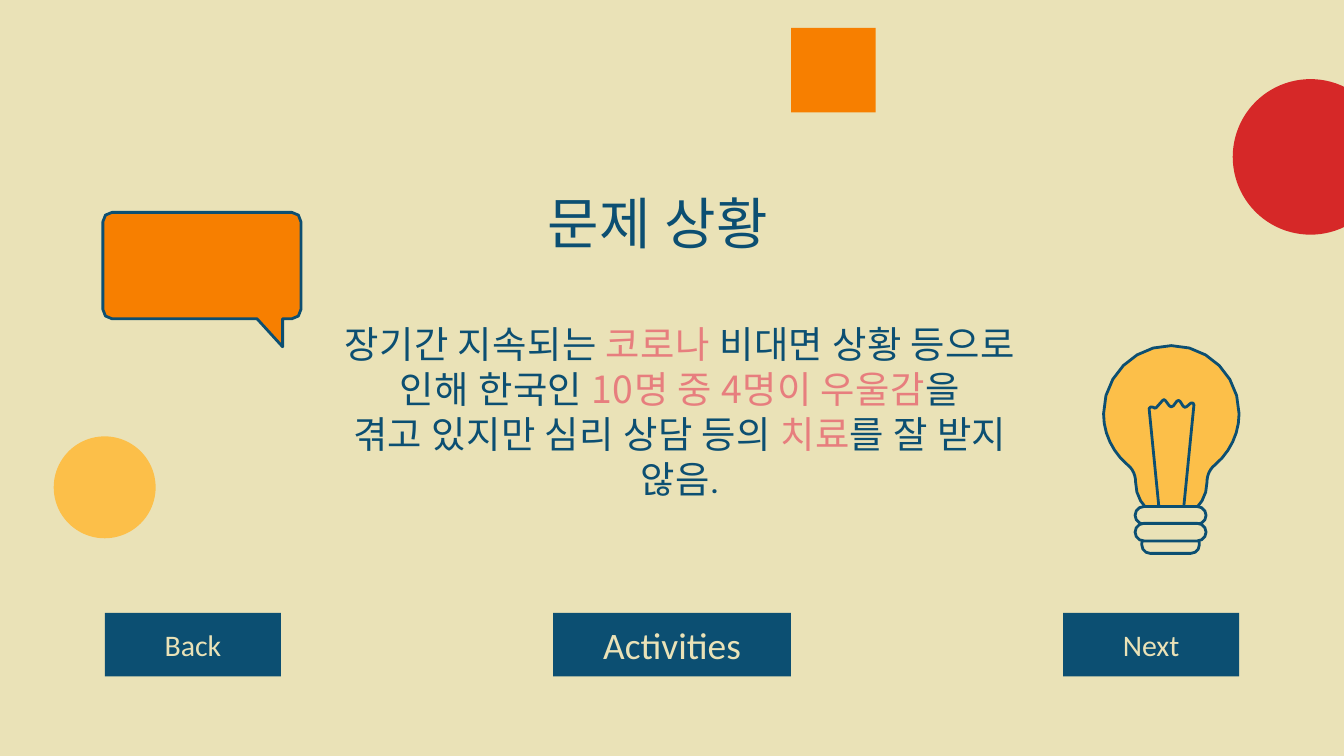
from lxml.etree import SubElement
from pptx import Presentation
from pptx.dml.color import RGBColor as Rgb
from pptx.enum.shapes import MSO_CONNECTOR as Connector, MSO_SHAPE as Preset
from pptx.enum.text import MSO_ANCHOR as Anchor, MSO_AUTO_SIZE as AutoSize, PP_ALIGN as Align
from pptx.oxml.ns import qn
from pptx.util import Pt

COLORS = {"sand": "EAE2B7", "navy": "0C4F72", "orange": "F77F00",
          "yellow": "FCBF49", "red": "D62828", "pink": "E77E7E"}
KOREAN = "Noto Sans CJK KR"
FRAME = {"word_wrap": True, "auto_size": AutoSize.NONE,
         "margin_left": Pt(7.2), "margin_right": Pt(7.2),
         "margin_top": Pt(7.2), "margin_bottom": Pt(7.2)}


def write(shape, lines, size, anchor=Anchor.MIDDLE, spacing=None, tracking=0):
    """Fill a shape with one centred paragraph; each line holds (text, colour, font) spans."""
    frame = shape.text_frame
    for name, value in {**FRAME, "vertical_anchor": anchor}.items():
        setattr(frame, name, value)
    para = frame.paragraphs[0]
    para.alignment = Align.CENTER
    para.line_spacing = spacing
    for number, spans in enumerate(lines):
        if number:
            para.add_line_break()
        for text, color, font in spans:
            span = para.add_run()
            span.text = text
            for name, value in {"size": Pt(size), "name": font, "bold": False}.items():
                setattr(span.font, name, value)
            span.font.color.rgb = Rgb.from_string(COLORS[color])
            SubElement(span.font._element, qn("a:ea"), typeface=font)
            if tracking:
                span.font._element.set("spc", str(tracking))


def flatten(start, steps, pieces=2):
    """Turn line steps (x, y) and cubic steps (6 numbers) into points."""
    points = [start]
    for step in steps:
        if len(step) == 2:
            points.append(step)
            continue
        x0, y0 = points[-1]
        x1, y1, x2, y2, x3, y3 = step
        for t in (i / pieces for i in range(1, pieces + 1)):
            a, b, c, d = (1 - t) ** 3, 3 * t * (1 - t) ** 2, 3 * t * t * (1 - t), t ** 3
            points.append((a * x0 + b * x1 + c * x2 + d * x3,
                           a * y0 + b * y1 + c * y2 + d * y3))
    return points


deck = Presentation()
deck.slide_width, deck.slide_height = Pt(720), Pt(405)
page = deck.slides.add_slide(deck.slide_layouts[5])
page.background.fill.solid()
page.background.fill.fore_color.rgb = Rgb.from_string(COLORS["sand"])

title = page.shapes.title
for name, value in {"left": 200.2, "top": 98.6, "width": 311.8, "height": 45.4}.items():
    setattr(title, name, Pt(value))
write(title, [[("문제 상황 ", "navy", KOREAN)]], 30, Anchor.BOTTOM, tracking=30)

body = page.shapes.add_textbox(Pt(176.4), Pt(162.7), Pt(375.8), Pt(115.2))
write(body, [[("장기간 지속되는 ", "navy", KOREAN),
              ("코로나", "pink", KOREAN),
              (" 비대면 상황 등으로 인해 한국인 ", "navy", KOREAN),
              ("10명 중 4명이 우울감", "pink", KOREAN),
              ("을", "navy", KOREAN)],
             [("겪고 있지만 심리 상담 등의 ", "navy", KOREAN),
              ("치료", "pink", KOREAN),
              ("를 잘 받지 않음", "navy", KOREAN),
              (".", "navy", "Roboto")]], 20, spacing=Pt(24), tracking=22)

# Speech bubble, bulb and filament
bubble = flatten((60, 113.8), [
    (156.4, 113.8), (159.2, 113.8, 161.2, 116, 161.2, 118.8),
    (161.2, 165.8), (161.2, 168.6, 159.2, 170.8, 156.4, 170.8),
    (151.4, 170.8), (151.4, 185.8), (137.7, 170.8),
    (60, 170.8), (57.2, 170.8, 55.1, 168.6, 55.1, 165.8),
    (55.1, 118.8), (55.1, 116, 57.2, 113.8, 60, 113.8)])
axis = 627.5
left_half = flatten((axis, 185.2), [
    (607.4, 185.2, 591.2, 201.5, 591.2, 221.7),
    (591.2, 232.1, 595.9, 242.2, 604.1, 249.1),
    (607, 251.3, 608.4, 254.9, 608.4, 258.5),
    (608.4, 269.3, 617, 277.9, axis, 277.9)], pieces=6)
bulb = left_half + [(2 * axis - x, y) for x, y in reversed(left_half[1:-1])]
filament = flatten((621.4, 277.2), [
    (615.6, 218.9), (615.6, 218.2, 617, 217.4, 617.8, 218.2),
    (618.5, 218.9, 619.2, 218.9, 619.6, 218.2),
    (622.8, 214.6), (623.2, 213.9, 623.9, 213.9, 624.3, 214.6),
    (626.4, 217.4), (627.1, 218.2, 627.9, 218.2, 628.6, 217.4),
    (630.4, 215), (631, 214.4, 631.8, 214.4, 632.2, 215),
    (633.8, 217.6), (634.3, 218.4, 635.2, 218.4, 635.8, 217.8),
    (637.9, 216), (638.6, 215.4, 639.8, 216, 639.6, 216.9),
    (633.6, 277.2)])

# Outlined parts are drawn from back to front
outlined = []
for points, fill, closed in [(bubble, "orange", True), (bulb, "yellow", True),
                             (filament, None, False)]:
    (x, y), *rest = [(Pt(px), Pt(py)) for px, py in points]
    pen = page.shapes.build_freeform(x, y)
    pen.add_line_segments(rest, close=closed)
    outlined.append((pen.convert_to_shape(), fill))
for top, width, height, rounding in [(286.4, 30.8, 10.1, 0.45),
                                     (271.4, 38, 9.4, 0.5), (280.4, 38, 9.4, 0.5)]:
    ring = page.shapes.add_shape(Preset.ROUNDED_RECTANGLE, Pt(axis - 0.4 - width / 2),
                                 Pt(top), Pt(width), Pt(height))
    ring.adjustments[0] = rounding
    outlined.append((ring, "sand"))
for shape, fill in outlined:
    shape.shadow.inherit = False
    shape.line.width = Pt(1.5)
    shape.line.color.rgb = Rgb.from_string(COLORS["navy"])
    if fill:
        shape.fill.solid()
        shape.fill.fore_color.rgb = Rgb.from_string(COLORS[fill])
    else:
        shape.fill.background()

thread = page.shapes.add_connector(Connector.STRAIGHT, Pt(612), Pt(280.3), Pt(642.2), Pt(280.3))
thread.line.width = Pt(1.5)
thread.line.color.rgb = Rgb.from_string(COLORS["navy"])
SubElement(thread._element.spPr, qn("a:effectLst"))

# Plain shapes and navigation buttons
for preset, left, top, width, height, fill, label, size in [
        (Preset.OVAL, 28.8, 233.8, 54.6, 54.6, "yellow", None, None),
        (Preset.RECTANGLE, 423.8, 14.9, 45.3, 45.3, "orange", None, None),
        (Preset.OVAL, 660.4, 42.4, 83.3, 83.3, "red", None, None),
        (Preset.RECTANGLE, 296.4, 328.4, 127.4, 34, "navy", "Activities", 20),
        (Preset.RECTANGLE, 56.2, 328.4, 94.3, 34, "navy", "Back", 16),
        (Preset.RECTANGLE, 569.5, 328.4, 94.3, 34, "navy", "Next", 16)]:
    shape = page.shapes.add_shape(preset, Pt(left), Pt(top), Pt(width), Pt(height))
    shape.shadow.inherit = False
    shape.fill.solid()
    shape.fill.fore_color.rgb = Rgb.from_string(COLORS[fill])
    shape.line.fill.background()
    if label:
        write(shape, [[(label, "sand", "Calibri")]], size)

deck.save("out.pptx")
